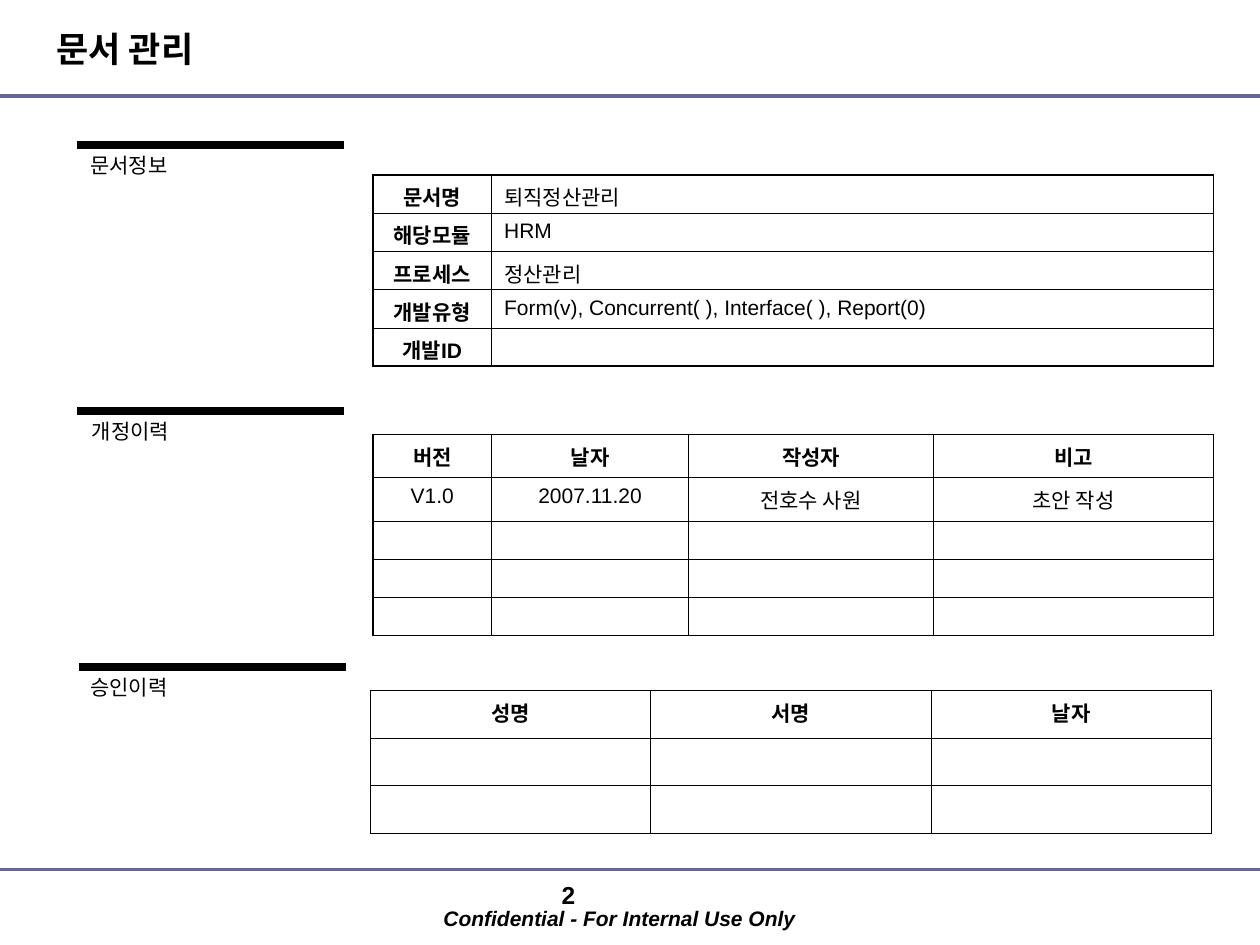
from lxml.etree import SubElement
from pptx import Presentation
from pptx.dml.color import RGBColor
from pptx.enum.shapes import MSO_CONNECTOR
from pptx.enum.text import MSO_ANCHOR, PP_ALIGN
from pptx.oxml.ns import qn
from pptx.util import Cm, Pt

BLACK, RULE = "000000", "666699"
SANS, SERIF = "Arial", "Times New Roman"
OUTER, INNER = 1.08, 0.45


def color(value):
    return RGBColor.from_string(value)


class SlideBuilder:
    def __init__(self, slide):
        self.slide = slide

    def run(self, paragraph, text, size=12, font=SANS, bold=False, italic=False):
        run = paragraph.add_run()
        run.text = text
        run.font.size = Pt(size)
        run.font.name = font
        run.font.bold = bold
        run.font.italic = italic
        run.font.color.rgb = color(BLACK)

    def text(self, left, top, width, height, text, align=PP_ALIGN.LEFT,
             anchor=MSO_ANCHOR.TOP, wrap=True, spacing=None, inset=True, **style):
        frame = self.slide.shapes.add_textbox(
            Cm(left), Cm(top), Cm(width), Cm(height)).text_frame
        frame.word_wrap = wrap
        frame.vertical_anchor = anchor
        if not inset:
            frame.margin_left = frame.margin_right = 0
            frame.margin_top = frame.margin_bottom = 0
        paragraph = frame.paragraphs[0]
        paragraph.alignment = align
        paragraph.line_spacing = spacing
        self.run(paragraph, text, **style)

    def rule(self, left, top, length, stroke, weight):
        line = self.slide.shapes.add_connector(
            MSO_CONNECTOR.STRAIGHT, Cm(left), Cm(top), Cm(left + length), Cm(top))
        line.line.color.rgb = color(stroke)
        line.line.width = Pt(weight)
        SubElement(line._element.spPr, qn("a:effectLst"))

    def borders(self, cell, weights):
        properties = cell._tc.get_or_add_tcPr()
        for side, weight in zip("LRTB", weights):
            edge = SubElement(properties, qn(f"a:ln{side}"), w=str(Pt(weight)))
            fill = SubElement(edge, qn("a:solidFill"))
            SubElement(fill, qn("a:srgbClr"), val=BLACK)

    def table(self, left, top, widths, heights, rows, header_column=False,
              bottom_margin=0.13):
        table = self.slide.shapes.add_table(
            len(heights), len(widths), Cm(left), Cm(top),
            Cm(sum(widths)), Cm(sum(heights))).table
        table.first_row = table.horz_banding = False
        for column, width in zip(table.columns, widths):
            column.width = Cm(width)
        for row, height in zip(table.rows, heights):
            row.height = Cm(height)
        last_row, last_column = len(heights) - 1, len(widths) - 1
        for r in range(len(heights)):
            for c in range(len(widths)):
                cell = table.cell(r, c)
                on_edge = (c == 0, c == last_column, r == 0, r == last_row)
                self.borders(cell, [OUTER if edge else INNER for edge in on_edge])
                cell.fill.background()
                cell.margin_bottom = Cm(bottom_margin)
                paragraph = cell.text_frame.paragraphs[0]
                text = rows[r][c] if r < len(rows) else ""
                if not text:
                    # Small end mark keeps empty rows at their set height
                    SubElement(paragraph._p, qn("a:endParaRPr"), sz="1000")
                    continue
                heading = c == 0 if header_column else r == 0
                if heading or not header_column:
                    paragraph.alignment = PP_ALIGN.CENTER
                paragraph.space_before = Pt(4.5)
                self.run(paragraph, text, bold=heading)

    def section(self, bar_left, bar_top, label_left, label_top, title):
        self.rule(bar_left, bar_top, 5.38, BLACK, 4.5)
        self.text(label_left, label_top, 2.06, 0.71, title, PP_ALIGN.CENTER,
                  wrap=False, spacing=0.9, font=SERIF)


def main():
    deck = Presentation()
    deck.slide_width, deck.slide_height = Cm(25.4), Cm(19.05)
    page = SlideBuilder(deck.slides.add_slide(deck.slide_layouts[6]))

    # Title and footer
    page.rule(0, 1.93, 25.4, RULE, 2.25)
    page.rule(0, 17.53, 25.4, RULE, 1.5)
    page.text(0.89, 0.25, 23.98, 1.47, "문서 관리",
              anchor=MSO_ANCHOR.MIDDLE, size=20, bold=True)
    page.text(9.02, 17.2, 4.88, 1.27, "2", PP_ALIGN.CENTER,
              spacing=1.7, size=14, bold=True)
    page.text(8.94, 18.26, 7.11, 0.51, "Confidential - For Internal Use Only",
              wrap=False, inset=False, bold=True, italic=True)

    # Document information
    page.section(1.55, 2.92, 1.57, 3.0, "문서정보")
    page.table(7.52, 3.53, [2.39, 14.55], [0.77] * 5, [
        ["문서명", "퇴직정산관리"],
        ["해당모듈", "HRM"],
        ["프로세스", "정산관리"],
        ["개발유형", "Form(v), Concurrent( ), Interface( ), Report(0)"],
        ["개발ID", ""],
    ], header_column=True, bottom_margin=0)

    # Revision history
    page.section(1.55, 8.28, 1.6, 8.36, "개정이력")
    page.table(7.52, 8.76, [2.39, 3.97, 4.94, 5.64], [0.87] * 2 + [0.77] * 3, [
        ["버전", "날자", "작성자", "비고"],
        ["V1.0", "2007.11.20", "전호수 사원", "초안 작성"],
    ])

    # Approval history
    page.section(1.6, 13.44, 1.57, 13.54, "승인이력")
    page.table(7.47, 13.92, [5.65] * 3, [0.96] * 3, [["성명", "서명", "날자"]])

    deck.save("out.pptx")


if __name__ == "__main__":
    main()
